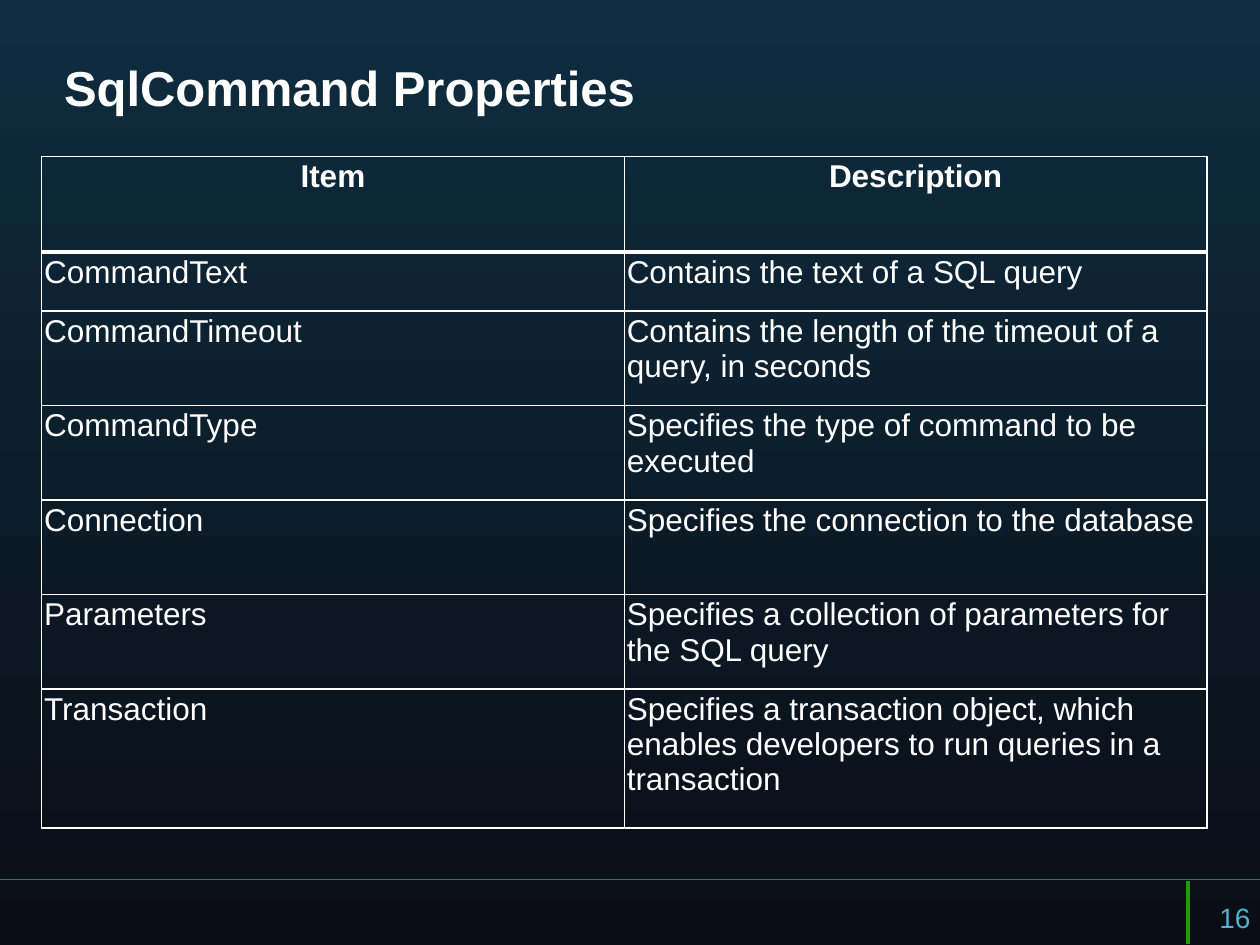
from dataclasses import dataclass

from lxml import etree
from pptx import Presentation
from pptx import util as u
from pptx.dml.color import RGBColor
from pptx.enum import shapes, text
from pptx.oxml.ns import qn


@dataclass(frozen=True)
class Theme:
    font: str = "Arial"
    top: str = "0E2D3F"
    bottom: str = "0A0D16"
    ink: str = "FFFFFF"
    number: str = "50B3CF"
    rule: str = "287094"
    accent: str = "209D03"
    title_size: int = 28
    body_size: int = 18
    number_size: int = 16
    border: float = 1
    header_border: float = 3


@dataclass(frozen=True)
class Rule:
    start: tuple[float, float]
    end: tuple[float, float]
    color: str
    width: float


@dataclass(frozen=True)
class Label:
    words: str
    left: float
    top: float
    width: float
    height: float
    size: int
    color: str
    bold: bool = False
    anchor: text.MSO_ANCHOR = text.MSO_ANCHOR.TOP


@dataclass(frozen=True)
class Row:
    item: str
    description: str
    height: float = 0.75


THEME = Theme()

RULES = [
    Rule((10, 6.98), (0, 6.98), THEME.rule, 0.75),
    Rule((9.43, 6.99), (9.43, 7.49), THEME.accent, 2),
]

LABELS = [
    Label("SqlCommand Properties", 0.41, 0.36, 9.18, 0.66, THEME.title_size,
          THEME.ink, True, text.MSO_ANCHOR.MIDDLE),
    Label("16", 9.58, 7.1, 0.81, 0.25, THEME.number_size, THEME.number),
]

ROWS = [
    Row("Item", "Description", 0.76),
    Row("CommandText", "Contains the text of a SQL query", 0.47),
    Row("CommandTimeout", "Contains the length of the timeout of a query, in seconds"),
    Row("CommandType", "Specifies the type of command to be executed"),
    Row("Connection", "Specifies the connection to the database"),
    Row("Parameters", "Specifies a collection of parameters for the SQL query"),
    Row("Transaction", "Specifies a transaction object, which enables developers "
        "to run queries in a transaction", 1.1),
]


def paint_background(page) -> None:
    fill = page.background.fill
    fill.gradient()
    fill.gradient_angle = 270
    for stop, color in zip(fill.gradient_stops, (THEME.top, THEME.bottom)):
        stop.color.rgb = RGBColor.from_string(color)


def add_words(para, words: str, size: int, color: str, bold: bool) -> None:
    span = para.add_run()
    span.text = words
    span.font.name = THEME.font
    span.font.size = u.Pt(size)
    span.font.bold = bold
    span.font.color.rgb = RGBColor.from_string(color)


def draw_rule(page, rule: Rule) -> None:
    line = page.shapes.add_connector(
        shapes.MSO_CONNECTOR.STRAIGHT, *map(u.Inches, rule.start + rule.end))
    line.line.color.rgb = RGBColor.from_string(rule.color)
    line.line.width = u.Pt(rule.width)
    etree.SubElement(line._element.spPr, qn("a:effectLst"))


def draw_label(page, label: Label) -> None:
    box = page.shapes.add_textbox(
        *map(u.Inches, (label.left, label.top, label.width, label.height)))
    frame = box.text_frame
    frame.word_wrap = True
    frame.vertical_anchor = label.anchor
    add_words(frame.paragraphs[0], label.words, label.size, label.color, label.bold)


def add_borders(cell, widths: dict[str, float]) -> None:
    properties = cell._tc.get_or_add_tcPr()
    for side, width in widths.items():
        line = etree.SubElement(properties, qn(f"a:ln{side}"), w=str(u.Pt(width)))
        fill = etree.SubElement(line, qn("a:solidFill"))
        etree.SubElement(fill, qn("a:srgbClr"), val=THEME.ink)


def fill_cell(cell, words: str, row_index: int) -> None:
    header = row_index == 0
    cell.margin_left = cell.margin_right = u.Inches(0.02)
    cell.margin_top = cell.margin_bottom = u.Inches(0.02)
    add_borders(cell, {
        "L": THEME.border,
        "R": THEME.border,
        "T": THEME.header_border if row_index == 1 else THEME.border,
        "B": THEME.header_border if header else THEME.border,
    })
    cell.fill.background()
    para = cell.text_frame.paragraphs[0]
    para.alignment = text.PP_ALIGN.CENTER if header else text.PP_ALIGN.LEFT
    add_words(para, words, THEME.body_size, THEME.ink, header)


def draw_table(page, rows: list[Row], left: float, top: float, width: float) -> None:
    height = sum(row.height for row in rows)
    table = page.shapes.add_table(
        len(rows), 2, *map(u.Inches, (left, top, width, height))).table
    table.first_row = table.horz_banding = False
    for index, row in enumerate(rows):
        table.rows[index].height = u.Inches(row.height)
        for column, words in enumerate((row.item, row.description)):
            fill_cell(table.cell(index, column), words, index)


def main() -> None:
    deck = Presentation()
    deck.slide_width, deck.slide_height = u.Inches(10), u.Inches(7.5)
    page = deck.slides.add_slide(deck.slide_layouts[6])
    paint_background(page)

    # Footer rules
    for rule in RULES:
        draw_rule(page, rule)

    # Title and page number
    for label in LABELS:
        draw_label(page, label)

    # Property table
    draw_table(page, ROWS, left=0.33, top=1.24, width=9.25)

    deck.save("out.pptx")


if __name__ == "__main__":
    main()
